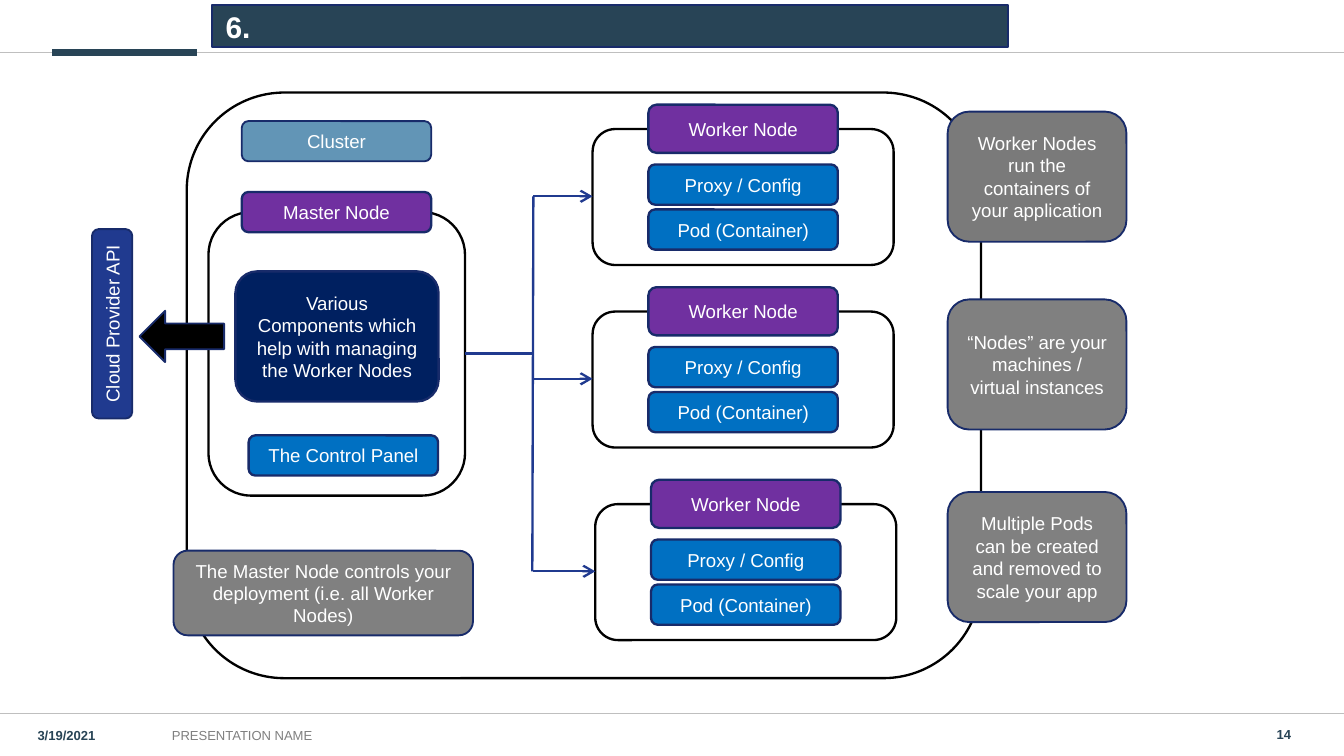
from dataclasses import dataclass

from lxml import etree
from pptx import Presentation
from pptx import util as u
from pptx.dml.color import RGBColor
from pptx.enum import shapes, text
from pptx.oxml import ns

TITLE = "6."
FOOTER = [
    ("3/19/2021", 0.46, 13.64, 2.54, "ink", True),
    ("PRESENTATION NAME", 3.0, 13.64, 10.01, "gray", False),
    ("14", 24.13, 13.61, 0.81, "ink", True),
]
RULES = [
    (0, 13.49, 25.4, 13.49, "rule", 0.5),
    (0, 0.99, 25.4, 0.99, "rule", 0.5),
    (0.99, 0.99, 3.73, 0.99, "ink", 4),
]
CLUSTER_FRAME = (3.53, 1.75, 15.01, 11.07)
MASTER_FRAME = (3.94, 4.01, 4.85, 5.36)
LABEL_W, LABEL_H = 3.58, 0.76
LABELS = [
    ("Cluster", 4.57, 2.29, "steel", 1, 0),
    ("Cloud Provider API", 0.33, 5.74, "royal", 1, 270),
    ("The Control Panel", 4.7, 8.23, "blue", 1.25, 0),
    ("Master Node", 4.57, 3.63, "purple", 1.25, 0),
]
COMPONENTS = "Various Components which help with managing the Worker Nodes"
WORKERS = [(11.2, 2.44), (11.2, 5.89), (11.25, 9.53)]
WORKER_W, WORKER_H = 5.69, 2.57
WORKER_PARTS = [
    ("Proxy / Config", 0.67, LABEL_H, "blue"),
    ("Pod (Container)", 1.52, LABEL_H, "blue"),
    ("Worker Node", -0.46, 0.91, "purple"),
]
NOTES = [
    ("Worker Nodes run the containers of your application", 2.11, "dark_gray"),
    ("“Nodes” are your machines / virtual instances", 5.66, "gray"),
    ("Multiple Pods can be created and removed to scale your app", 9.3, "gray"),
]
MASTER_NOTE = "The Master Node controls your deployment (i.e. all Worker Nodes)"
TRUNK_X, FEED_Y, BRANCH_DY = 10.08, 6.68, 1.27


@dataclass(frozen=True)
class Theme:
    font: str = "Arial"
    title_size: float = 16
    body_size: float = 10
    footer_size: float = 7
    ink: str = "284456"
    outline: str = "182B6A"
    rule: str = "BFBFBF"
    gray: str = "808080"
    dark_gray: str = "7A7A7A"
    steel: str = "6295B6"
    royal: str = "203A8F"
    navy: str = "002060"
    blue: str = "0070C2"
    purple: str = "7030A0"
    black: str = "000000"
    white: str = "FFFFFF"

    def color(self, name):
        return RGBColor.from_string(getattr(self, name))


theme = Theme()
deck = Presentation()
deck.slide_width, deck.slide_height = u.Cm(25.4), u.Cm(14.29)
slide = deck.slides.add_slide(deck.slide_layouts[5])


def write(part, words, size, color, bold=False, align=text.PP_ALIGN.LEFT):
    frame = part.text_frame
    frame.text = words
    frame.word_wrap = True
    frame.auto_size = text.MSO_AUTO_SIZE.NONE
    frame.vertical_anchor = text.MSO_ANCHOR.MIDDLE
    paragraph = frame.paragraphs[0]
    paragraph.alignment = align
    font = paragraph.runs[0].font
    font.name, font.size, font.bold = theme.font, u.Pt(size), bold
    font.color.rgb = theme.color(color)


def paint(part, fill, line, width):
    if fill:
        part.fill.solid()
        part.fill.fore_color.rgb = theme.color(fill)
    else:
        part.fill.background()
    part.line.color.rgb = theme.color(line)
    part.line.width = u.Pt(width)


def box(x, y, w, h, words="", fill=None, line="outline", width=1.0, turn=0,
        kind=shapes.MSO_SHAPE.ROUNDED_RECTANGLE):
    part = slide.shapes.add_shape(kind, u.Cm(x), u.Cm(y), u.Cm(w), u.Cm(h))
    part.shadow.inherit = False
    part.rotation = turn
    paint(part, fill, line, width)
    if words:
        write(part, words, theme.body_size, "white", align=text.PP_ALIGN.CENTER)


def connect(x1, y1, x2, y2, color="royal", width=1.25, arrow=False):
    link = slide.shapes.add_connector(
        shapes.MSO_CONNECTOR.STRAIGHT, u.Cm(x1), u.Cm(y1), u.Cm(x2), u.Cm(y2))
    link.line.color.rgb = theme.color(color)
    link.line.width = u.Pt(width)
    properties = link.element.spPr
    if arrow:
        outline = properties.find(ns.qn("a:ln"))
        etree.SubElement(outline, ns.qn("a:tailEnd"), type="arrow")
    etree.SubElement(properties, ns.qn("a:effectLst"))


for rule in RULES:
    connect(*rule)

for words, x, y, w, color, bold in FOOTER:
    footer = slide.shapes.add_textbox(u.Cm(x), u.Cm(y), u.Cm(w), u.Cm(0.53))
    write(footer, words, theme.footer_size, color, bold)
    if words == "14":
        footer.text_frame.margin_left = footer.text_frame.margin_right = 0
        footer.text_frame.margin_top = footer.text_frame.margin_bottom = 0

title = slide.shapes.title
title.left, title.top = u.Cm(4.01), u.Cm(0.1)
title.width, title.height = u.Cm(15.04), u.Cm(0.79)
geometry = etree.SubElement(title.element.spPr, ns.qn("a:prstGeom"), prst="roundRect")
adjustments = etree.SubElement(geometry, ns.qn("a:avLst"))
etree.SubElement(adjustments, ns.qn("a:gd"), name="adj", fmla="val 8600")
paint(title, "ink", "outline", 1)
write(title, TITLE, theme.title_size, "white", bold=True)

box(*CLUSTER_FRAME, line="black", width=1.25)
box(*MASTER_FRAME, line="black", width=1.25)
box(4.45, 5.13, 3.84, 2.46, COMPONENTS, "navy", width=1.25)
for words, x, y, fill, width, turn in LABELS:
    box(x, y, LABEL_W, LABEL_H, words, fill, width=width, turn=turn)

for x, y in WORKERS:
    box(x, y, WORKER_W, WORKER_H, line="black", width=1.25)
    for words, dy, h, fill in WORKER_PARTS:
        box(x + (WORKER_W - LABEL_W) / 2, y + dy, LABEL_W, h, words, fill, width=1.25)
    connect(TRUNK_X, y + BRANCH_DY, x, y + BRANCH_DY, arrow=True)

for words, y, fill in NOTES:
    box(17.91, y, 3.38, 2.46, words, fill)
box(3.28, 10.41, 5.66, 1.6, MASTER_NOTE, "gray")
box(2.95, 5.56, 0.97, 1.6, fill="black", turn=90, kind=shapes.MSO_SHAPE.DOWN_ARROW)

connect(TRUNK_X, WORKERS[0][1] + BRANCH_DY, TRUNK_X - 0.02, WORKERS[-1][1] + BRANCH_DY)
connect(MASTER_FRAME[0] + MASTER_FRAME[2], FEED_Y, TRUNK_X, FEED_Y)

deck.save("out.pptx")
